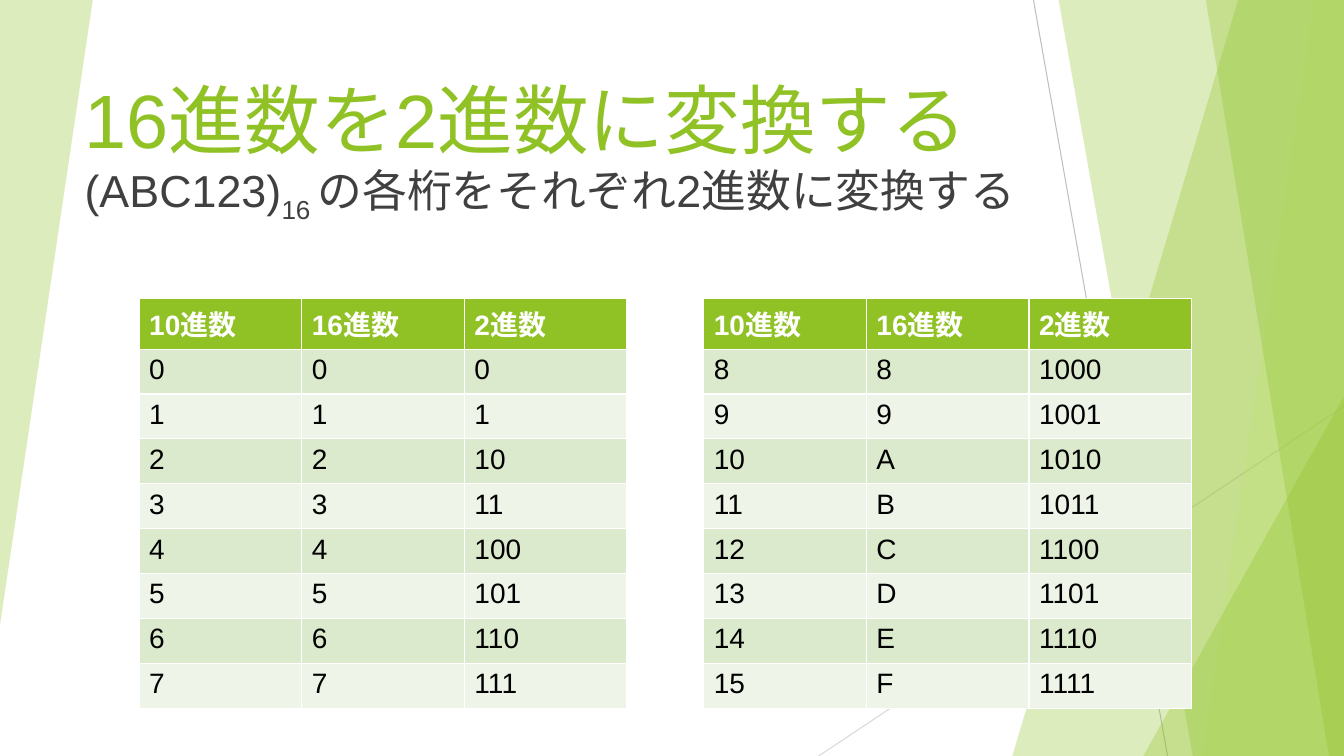
from dataclasses import dataclass

from lxml import etree
from pptx import Presentation
from pptx.dml.color import RGBColor
from pptx.enum.lang import MSO_LANGUAGE_ID
from pptx.enum.shapes import MSO_CONNECTOR, MSO_SHAPE
from pptx.enum.text import MSO_ANCHOR, MSO_AUTO_SIZE, PP_ALIGN
from pptx.oxml.ns import qn
from pptx.util import Inches, Pt

STRAIGHT = MSO_CONNECTOR.STRAIGHT
TRIANGLE = MSO_SHAPE.ISOSCELES_TRIANGLE
JAPANESE = MSO_LANGUAGE_ID.JAPANESE
TOP = MSO_ANCHOR.TOP
LEFT = PP_ALIGN.LEFT
NO_AUTOFIT = MSO_AUTO_SIZE.NONE
TITLE_ONLY = 5
WIDTH, HEIGHT = 13.33, 7.5


@dataclass(frozen=True)
class Theme:
    font: str = "Arial"
    green: str = "90C226"
    lime: str = "C0E474"
    body: str = "404040"
    white: str = "FFFFFF"
    black: str = "000000"
    band_dark: str = "DBE9CD"
    band_light: str = "EEF4E8"
    line_dark: str = "BFBFBF"
    line_light: str = "D9D9D9"
    title_size: int = 54
    body_size: int = 32
    table_size: int = 20
    glass_alpha: int = 30


THEME = Theme()


def rgb(color):
    return RGBColor.from_string(color)


def style_paragraph(paragraph, size, color, bold=False):
    paragraph.alignment = LEFT
    font = paragraph.font
    font.name = THEME.font
    font.size = Pt(size)
    font.bold = bold
    font.color.rgb = rgb(color)
    for run in paragraph.runs:
        run.font.language_id = JAPANESE


def set_frame(frame):
    frame.word_wrap = True
    frame.auto_size = NO_AUTOFIT
    frame.vertical_anchor = TOP


def add_hairline(slide, start, end, color):
    points = [Inches(value) for value in (*start, *end)]
    hairline = slide.shapes.add_connector(STRAIGHT, *points)
    hairline.line.color.rgb = rgb(color)
    hairline.line.width = Pt(0.75)
    etree.SubElement(hairline.element.spPr, qn("a:effectLst"))


def make_glass(shape, color):
    """Give a shape a translucent fill without outline or shadow."""
    shape.shadow.inherit = False
    shape.fill.solid()
    shape.fill.fore_color.rgb = rgb(color)
    shape.line.fill.background()
    fill_color = shape.element.spPr.find(qn("a:solidFill"))[0]
    alpha = etree.SubElement(fill_color, qn("a:alpha"))
    alpha.set("val", str(THEME.glass_alpha * 1000))


def add_pane(slide, top_x, bottom_x, color):
    """Fill the slide to the right of a slanted edge."""
    corners = [(WIDTH, 0), (WIDTH, HEIGHT), (bottom_x, HEIGHT)]
    builder = slide.shapes.build_freeform(Inches(top_x), 0)
    builder.add_line_segments([(Inches(x), Inches(y)) for x, y in corners])
    make_glass(builder.convert_to_shape(), color)


def add_wedge(slide, left, top, width, height, rotation=0):
    wedge = slide.shapes.add_shape(
        TRIANGLE, Inches(left), Inches(top), Inches(width), Inches(height))
    wedge.adjustments[0] = 1
    wedge.rotation = rotation
    make_glass(wedge, THEME.green)


def add_backdrop(slide):
    add_hairline(slide, (10.25, 0), (11.58, HEIGHT), THEME.line_dark)
    add_hairline(slide, (WIDTH, 4.03), (8.12, HEIGHT), THEME.line_light)
    for top_x, bottom_x, color in (
        (12.28, 10.04, THEME.green),
        (10.5, 11.83, THEME.green),
        (13.03, 11.92, THEME.lime),
        (11.96, 13.18, THEME.green),
    ):
        add_pane(slide, top_x, bottom_x, color)
    add_wedge(slide, 11.34, 3.93, 1.99, 3.57)
    add_wedge(slide, 0, 0, 0.92, 6.2, rotation=180)


def set_title(slide, text):
    title = slide.shapes.title
    title.left, title.top = Inches(0.74), Inches(0.67)
    title.width, title.height = Inches(11.81), Inches(0.72)
    title.text = text
    set_frame(title.text_frame)
    style_paragraph(title.text_frame.paragraphs[0], THEME.title_size, THEME.green)
    # Bring the title in front of the backdrop
    slide.shapes.element.append(title.element)


def add_task(slide, number, base, instruction):
    task = slide.shapes.add_textbox(
        Inches(0.74), Inches(1.57), Inches(11.81), Inches(5.64))
    set_frame(task.text_frame)
    paragraph = task.text_frame.paragraphs[0]
    for text in (number, base, instruction):
        paragraph.add_run().text = text
    style_paragraph(paragraph, THEME.body_size, THEME.body)
    paragraph.runs[1].font._element.set("baseline", "-25000")


def add_conversion_table(slide, left, numbers):
    rows = [("10進数", "16進数", "2進数")]
    rows += [(str(n), f"{n:X}", f"{n:b}") for n in numbers]
    table = slide.shapes.add_table(
        len(rows), len(rows[0]), Inches(left), Inches(2.96),
        Inches(4.84), Inches(4.01)).table
    for row_index, row in enumerate(rows):
        is_header = row_index == 0
        band = THEME.band_dark if row_index % 2 else THEME.band_light
        for column_index, text in enumerate(row):
            cell = table.cell(row_index, column_index)
            cell.text = text
            cell.fill.solid()
            cell.fill.fore_color.rgb = rgb(THEME.green if is_header else band)
            style_paragraph(
                cell.text_frame.paragraphs[0], THEME.table_size,
                THEME.white if is_header else THEME.black, bold=is_header)


def main():
    presentation = Presentation()
    presentation.slide_width = Inches(WIDTH)
    presentation.slide_height = Inches(HEIGHT)
    slide = presentation.slides.add_slide(presentation.slide_layouts[TITLE_ONLY])

    # Slanted green backdrop
    add_backdrop(slide)

    # Heading and task
    set_title(slide, "16進数を2進数に変換する")
    add_task(slide, "(ABC123)", "16 ", "の各桁をそれぞれ2進数に変換する")

    # Digits 0 to 7 and 8 to 15
    add_conversion_table(slide, 1.38, range(8))
    add_conversion_table(slide, 6.98, range(8, 16))

    presentation.save("out.pptx")


if __name__ == "__main__":
    main()
